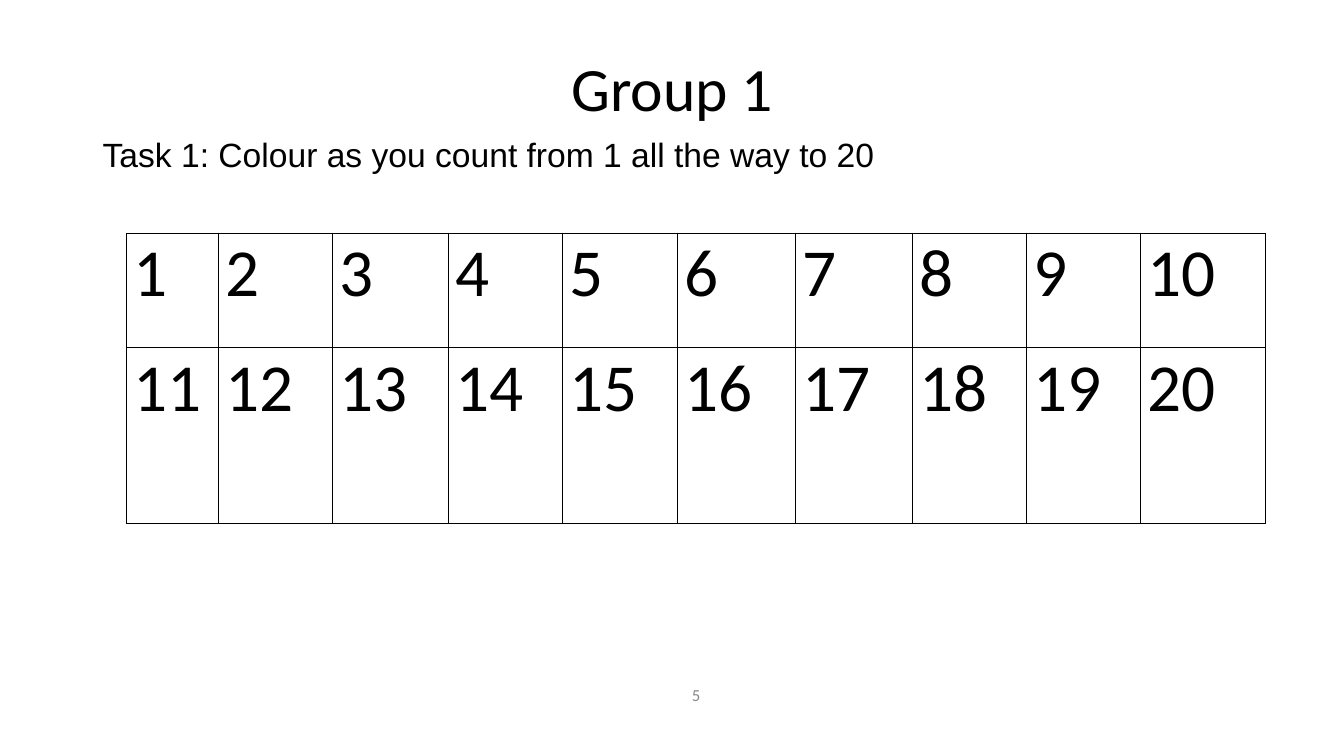
from pptx import Presentation
from pptx import util as u
from pptx.dml.color import RGBColor
from pptx.enum import text
from pptx.oxml import parse_xml
from pptx.oxml.ns import nsdecls

COLOURS = {"ink": "000000", "muted": "888888"}
SLIDE_W, SLIDE_H = u.Inches(13.33), u.Inches(7.5)

# Boxes as percentages of the slide: left, top, width, height
TITLE_BOX = (6.9, 4.67, 86.27, 14.8)
TASK_BOX = (6.9, 17.6, 88.52, 72.53)
NUMBER_BOX = (6.9, 85.87, 89.8, 12.13)
COUNTING_BOX = (9.38, 30.8, 84.77, 38.4)

# Relative sizes of the counting grid
COLUMN_SHARES = (92, 113, 115, 113, 114, 117, 116, 113, 113, 124)
ROW_SHARES = (114, 174)

TITLE = {"size": u.Pt(44), "name": "Calibri"}
TASK = {"size": u.Pt(24), "name": "Arial"}
PAGE_NUMBER = {"size": u.Pt(12), "name": "Calibri"}
COUNT = {"size": u.Pt(48), "name": "Calibri"}

CENTRED = {"alignment": text.PP_ALIGN.CENTER}
TIGHT = {"line_spacing": 0.9}


def place(box):
    """Turn percentages of the slide into lengths."""
    return [round(share * side / 100)
            for share, side in zip(box, (SLIDE_W, SLIDE_H) * 2)]


def apply(target, values):
    for attribute, value in values.items():
        setattr(target, attribute, value)


def write(frame, wording, font, colour, paragraph_format):
    paragraph = frame.paragraphs[0]
    apply(paragraph, paragraph_format)
    run = paragraph.add_run()
    run.text = wording
    apply(run.font, font)
    run.font.color.rgb = RGBColor.from_string(COLOURS[colour])


def add_line(slide, box, wording, font, paragraph_format,
             anchor=text.MSO_ANCHOR.MIDDLE, colour="ink"):
    frame = slide.shapes.add_textbox(*place(box)).text_frame
    apply(frame, {"word_wrap": True, "vertical_anchor": anchor})
    write(frame, wording, font, colour, paragraph_format)


def outline(cell):
    """Draw a thin line on all four sides of a cell."""
    properties = cell._tc.get_or_add_tcPr()
    for position, side in enumerate(("lnL", "lnR", "lnT", "lnB")):
        properties.insert(position, parse_xml(
            f'<a:{side} {nsdecls("a")} w="{u.Pt(0.5)}"><a:solidFill>'
            f'<a:srgbClr val="{COLOURS["ink"]}"/></a:solidFill></a:{side}>'))


def add_counting_grid(slide, box):
    left, top, width, height = place(box)
    grid = slide.shapes.add_table(len(ROW_SHARES), len(COLUMN_SHARES),
                                  left, top, width, height).table
    apply(grid, {"first_row": False, "horz_banding": False})
    for column, share in zip(grid.columns, COLUMN_SHARES):
        column.width = round(width * share / sum(COLUMN_SHARES))
    for row, share in zip(grid.rows, ROW_SHARES):
        row.height = round(height * share / sum(ROW_SHARES))

    margins = {"margin_left": u.Inches(0.07), "margin_right": u.Inches(0.07),
               "margin_top": 0, "margin_bottom": 0}
    for number, cell in enumerate(grid.iter_cells(), start=1):
        apply(cell, margins)
        cell.fill.background()
        outline(cell)
        write(cell.text_frame, str(number), COUNT, "ink", {})


def add_task_slide(deck):
    slide = deck.slides.add_slide(deck.slide_layouts[6])
    # Heading and instruction
    add_line(slide, TITLE_BOX, "Group 1", TITLE, CENTRED | TIGHT)
    add_line(slide, TASK_BOX,
             "Task 1: Colour as you count from 1 all the way to 20",
             TASK, TIGHT, anchor=text.MSO_ANCHOR.TOP)
    # Page number
    add_line(slide, NUMBER_BOX, "5", PAGE_NUMBER, CENTRED, colour="muted")
    # Numbers to colour
    add_counting_grid(slide, COUNTING_BOX)


def main():
    deck = Presentation()
    apply(deck, {"slide_width": SLIDE_W, "slide_height": SLIDE_H})
    add_task_slide(deck)
    deck.save("out.pptx")


if __name__ == "__main__":
    main()
